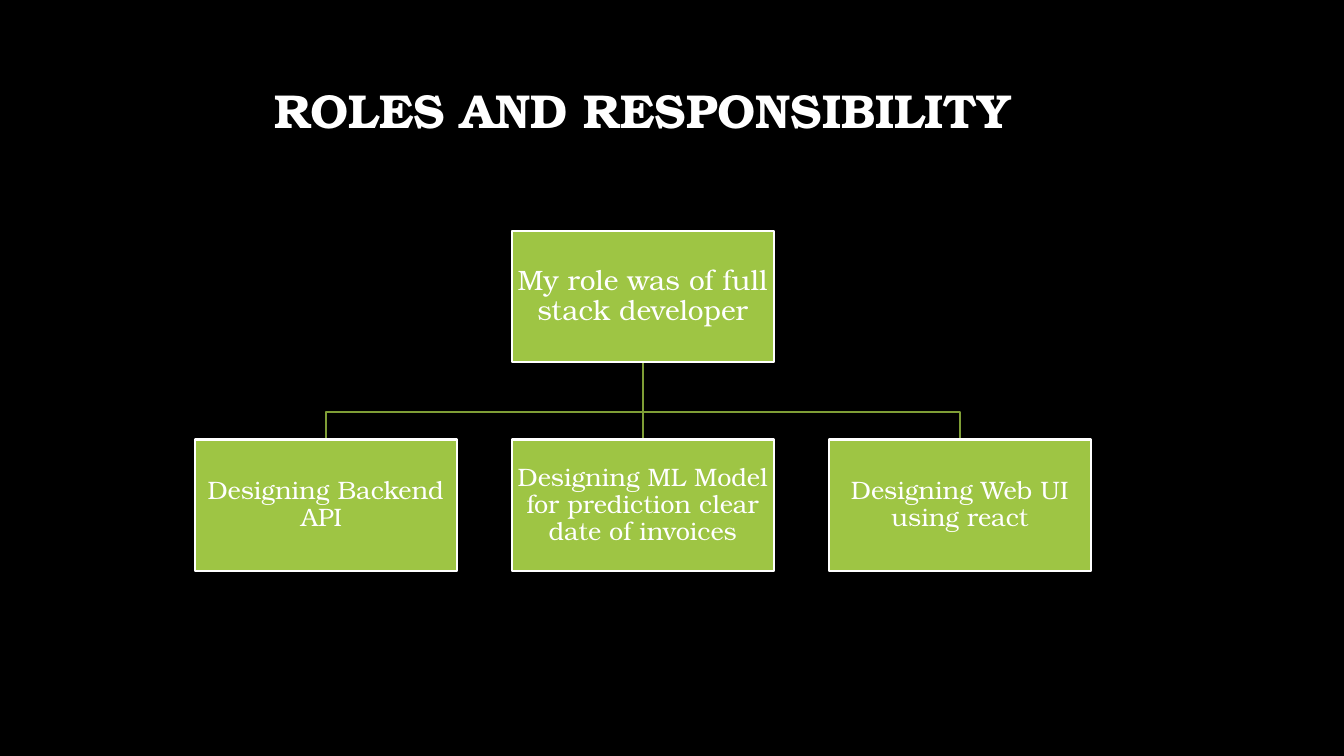
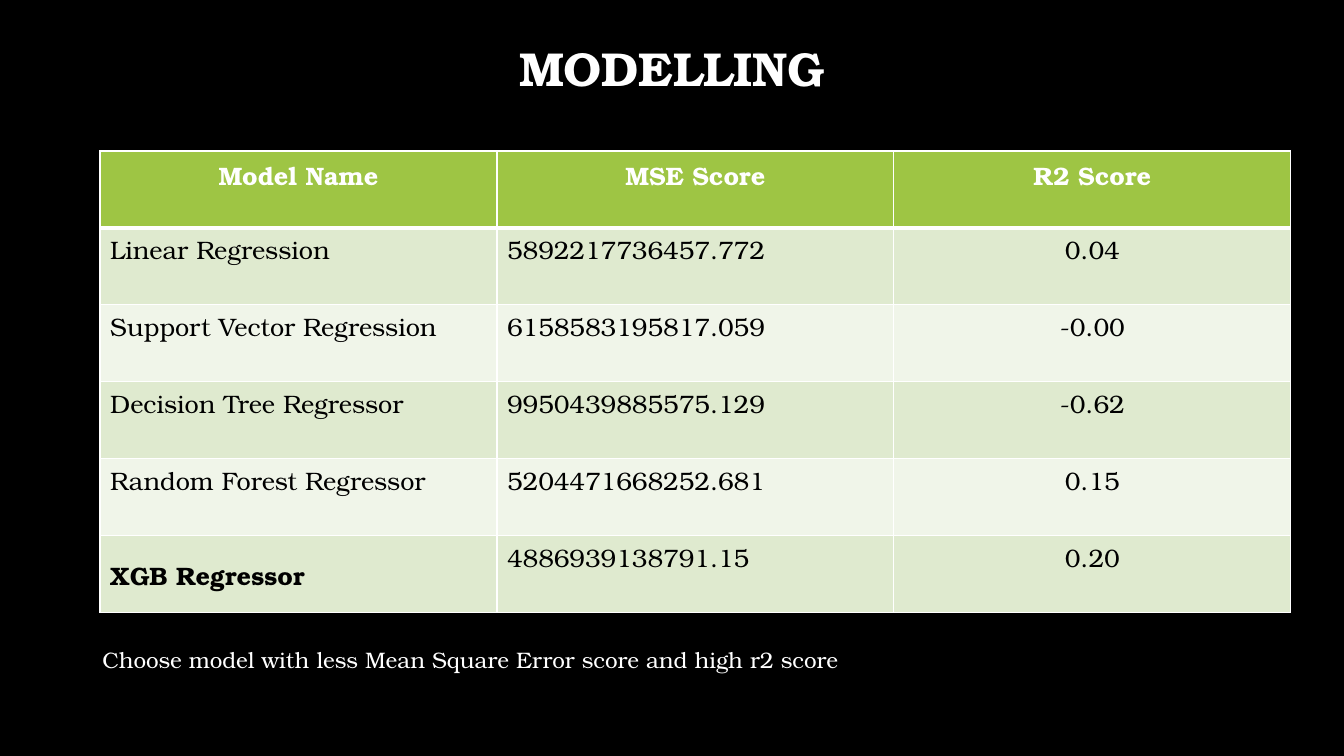
from lxml import etree
from pptx import Presentation
from pptx.dml.color import RGBColor
from pptx.enum import shapes, text
from pptx.oxml import ns
from pptx.util import Pt

FONT = "TeX Gyre Bonum"
BLACK = RGBColor(0, 0, 0)
WHITE = RGBColor(255, 255, 255)
GREEN = RGBColor(0x9E, 0xC5, 0x44)
DARK_GREEN = RGBColor(0x7F, 0x9E, 0x36)
BANDS = RGBColor(0xDF, 0xEA, 0xCF), RGBColor(0xF0, 0xF5, 0xE9)
CENTER = text.PP_ALIGN.CENTER
LEFT = text.PP_ALIGN.LEFT
MIDDLE = text.MSO_ANCHOR.MIDDLE
TOP = text.MSO_ANCHOR.TOP

ROLES_TITLE = "ROLES AND RESPONSIBILITY"
ROLE = "My role was of full stack developer"
DUTIES = [
    "Designing Backend API ",
    "Designing ML Model for prediction clear date of invoices",
    "Designing Web UI using react",
]

MODEL_TITLE = "MODELLING"
MODELS = [
    ("Model Name", "MSE Score", "R2 Score"),
    ("Linear Regression", "5892217736457.772", "0.04"),
    ("Support Vector Regression", "6158583195817.059", "-0.00"),
    ("Decision Tree Regressor", "9950439885575.129", "-0.62"),
    ("Random Forest Regressor", "5204471668252.681", "0.15"),
    ("XGB Regressor", "4886939138791.15", "0.20"),
]
NOTE = "Choose model with less Mean Square Error score and high r2 score"

BOX_W, BOX_H = 187.2, 93.6
BOX_PITCH = 226.5
ROLE_LEFT, ROLE_TOP = 365.5, 165
DUTY_TOP, BUS_Y = 314, 294.5


def points(*lengths):
    return [Pt(n) for n in lengths]


def write(tf, words, size, color=WHITE, bold=False, **paragraph):
    p = tf.paragraphs[0]
    for name, value in paragraph.items():
        setattr(p, name, value)
    r = p.add_run()
    r.text = words
    r.font.color.rgb = color
    for name, value in dict(name=FONT, size=Pt(size), bold=bold).items():
        setattr(r.font, name, value)


def add_slide(prs, title, *place):
    slide = prs.slides.add_slide(prs.slide_layouts[5])
    sp = slide.shapes.title
    sp.left, sp.top, sp.width, sp.height = points(*place)
    sp.text_frame.vertical_anchor = MIDDLE
    write(sp.text_frame, title, 34, bold=True, alignment=CENTER, line_spacing=0.9)
    return slide


def style_line(sp, color):
    sp.line.color.rgb = color
    sp.line.width = Pt(1.5)


def add_box(slide, words, size, left, top):
    sp = slide.shapes.add_shape(shapes.MSO_SHAPE.RECTANGLE,
                                *points(left, top, BOX_W, BOX_H))
    sp.shadow.inherit = False
    sp.fill.solid()
    sp.fill.fore_color.rgb = GREEN
    style_line(sp, WHITE)
    tf = sp.text_frame
    tf.word_wrap = True
    tf.vertical_anchor = MIDDLE
    for side in ("left", "top", "right", "bottom"):
        setattr(tf, f"margin_{side}", Pt(0.9))
    write(tf, words, size, alignment=CENTER, line_spacing=0.9)


def add_branches(slide, lefts):
    """Draw the bracket over the outer boxes and the trunk to the middle one."""
    first, middle, last = (left + BOX_W / 2 for left in lefts)
    pen = slide.shapes.build_freeform(Pt(first), Pt(DUTY_TOP))
    corners = [(first, BUS_Y), (last, BUS_Y), (last, DUTY_TOP)]
    pen.add_line_segments([points(*corner) for corner in corners], close=False)
    bracket = pen.convert_to_shape()
    bracket.shadow.inherit = False
    bracket.fill.background()
    trunk = slide.shapes.add_connector(
        shapes.MSO_CONNECTOR.STRAIGHT,
        *points(middle, ROLE_TOP + BOX_H, middle, DUTY_TOP))
    etree.SubElement(trunk._element.spPr, ns.qn("a:effectLst"))
    for sp in (bracket, trunk):
        style_line(sp, DARK_GREEN)


def add_border(cell, side, width):
    tcPr = cell._tc.get_or_add_tcPr()
    ln = etree.SubElement(tcPr, ns.qn(f"a:ln{side}"), w=str(Pt(width)))
    fill = etree.SubElement(ln, ns.qn("a:solidFill"))
    etree.SubElement(fill, ns.qn("a:srgbClr"), val=str(WHITE))


def add_model_table(slide):
    last = len(MODELS) - 1
    frame = slide.shapes.add_table(len(MODELS), len(MODELS[0]),
                                   *points(71.5, 107.8, 850.5, 330))
    for i, row in enumerate(MODELS):
        for j, words in enumerate(row):
            cell = frame.table.cell(i, j)
            header = i == 0
            best = i == last and j == 0
            widths = {"L": 1, "R": 1, "T": 3 if i == 1 else 1, "B": 3 if header else 1}
            for side, width in widths.items():
                add_border(cell, side, width)
            cell.fill.solid()
            cell.fill.fore_color.rgb = GREEN if header else BANDS[(i - 1) % 2]
            cell.vertical_anchor = MIDDLE if best else TOP
            write(cell.text_frame, words, 18, WHITE if header else BLACK,
                  header or best, alignment=CENTER if header or j == 2 else LEFT)


def build_roles(prs):
    slide = add_slide(prs, ROLES_TITLE, 60.5, 23.8, 797.8, 114.5)
    lefts = [ROLE_LEFT + (i - 1) * BOX_PITCH for i in range(len(DUTIES))]
    add_branches(slide, lefts)
    add_box(slide, ROLE, 20, ROLE_LEFT, ROLE_TOP)
    for duty, left in zip(DUTIES, lefts):
        add_box(slide, duty, 18, left, DUTY_TOP)


def build_modelling(prs):
    slide = add_slide(prs, MODEL_TITLE, 66, 28.8, 828, 44.6)
    add_model_table(slide)
    note = slide.shapes.add_textbox(*points(66, 458, 580, 26.6))
    note.text_frame.word_wrap = True
    write(note.text_frame, NOTE, 16)


def main():
    prs = Presentation()
    prs.slide_width, prs.slide_height = points(960, 540)
    background = prs.slide_master.background.fill
    background.solid()
    background.fore_color.rgb = BLACK
    build_roles(prs)
    build_modelling(prs)
    prs.save("out.pptx")


if __name__ == "__main__":
    main()
